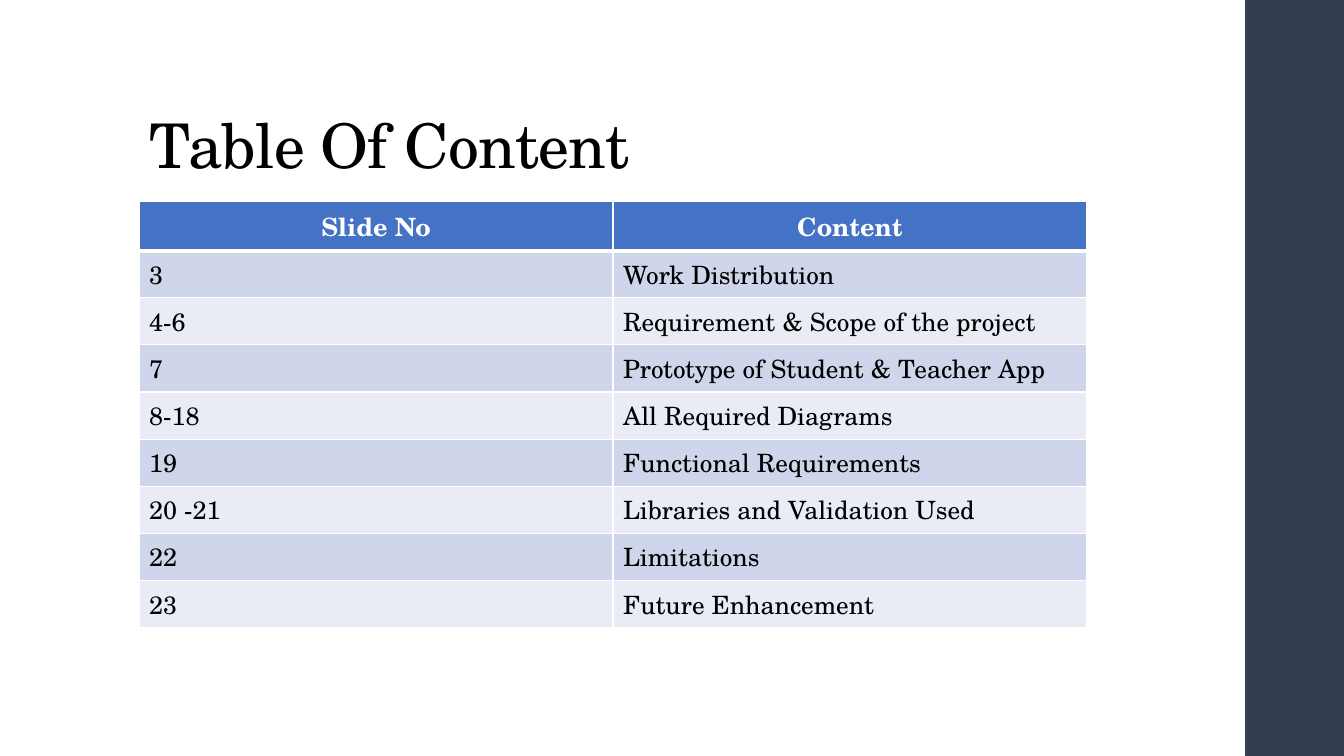
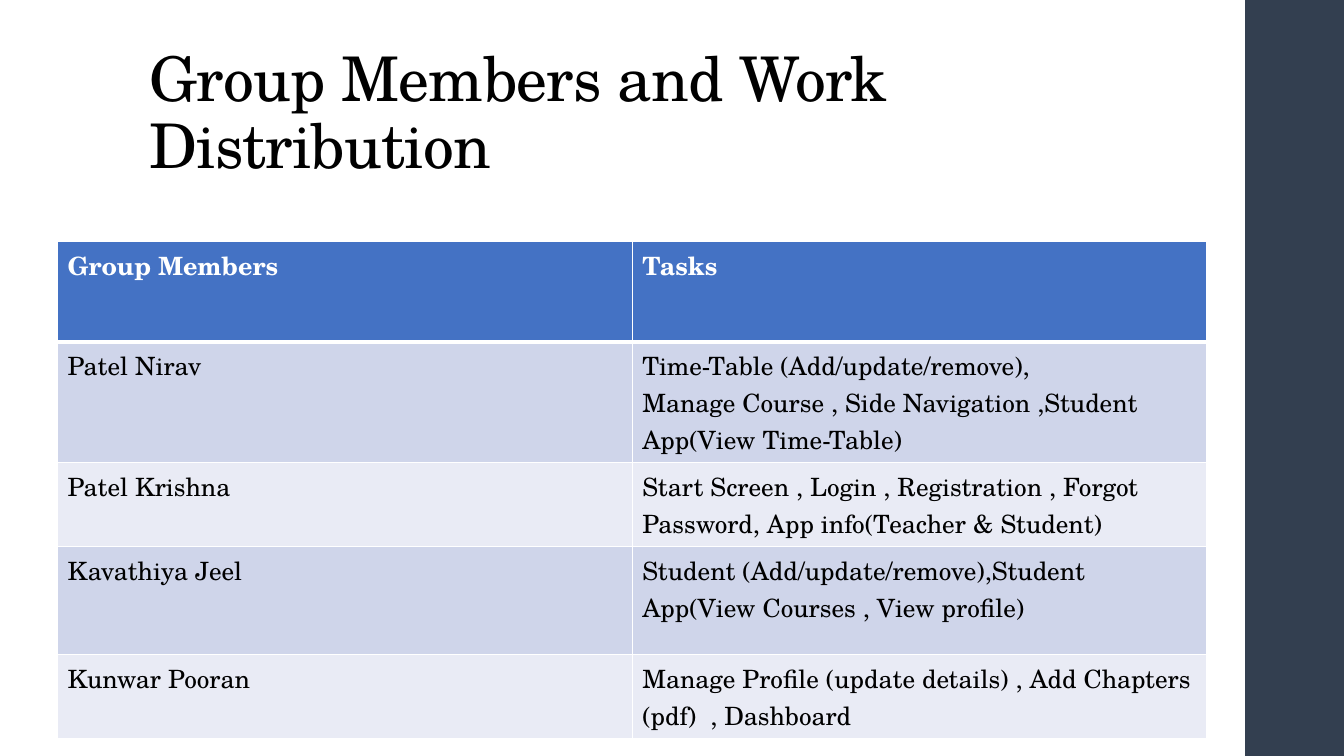
from lxml import etree
from pptx import Presentation
from pptx.dml.color import RGBColor
from pptx.enum.shapes import MSO_SHAPE
from pptx.enum.text import MSO_ANCHOR, MSO_AUTO_SIZE, PP_ALIGN
from pptx.oxml.ns import qn
from pptx.util import Inches, Pt

RECTANGLE = MSO_SHAPE.RECTANGLE
BOTTOM, NO_FIT = MSO_ANCHOR.BOTTOM, MSO_AUTO_SIZE.NONE
LEFT, CENTER = PP_ALIGN.LEFT, PP_ALIGN.CENTER

FONT = "TeX Gyre Schola"
COLORS = {
    "text": "000000",
    "white": "FFFFFF",
    "side_band": "333F50",
    "header": "4472C4",
    "odd_row": "CFD5EA",
    "even_row": "E9EBF5",
}
TITLE_ONLY = 5


def color(name):
    return RGBColor.from_string(COLORS[name])


def write(frame, text, size=18, fill="text", bold=False, align=LEFT,
          line_spacing=None, letter_spacing=None):
    """Fill a text frame, one paragraph for each line of text."""
    for index, line in enumerate(text.split("\n")):
        para = frame.paragraphs[0] if index == 0 else frame.add_paragraph()
        para.alignment = align
        if line_spacing:
            para.line_spacing = line_spacing
        span = para.add_run()
        span.text = line
        span.font.name = FONT
        span.font.size = Pt(size)
        span.font.bold = bold
        span.font.color.rgb = color(fill)
        if letter_spacing:
            span.font._element.set("spc", str(round(letter_spacing * 100)))


def add_border(cell, side, width):
    """Draw one white cell border; side is L, R, T or B."""
    properties = cell._tc.get_or_add_tcPr()
    line = etree.SubElement(properties, qn(f"a:ln{side}"), w=str(Pt(width)))
    solid = etree.SubElement(line, qn("a:solidFill"))
    etree.SubElement(solid, qn("a:srgbClr"), val=COLORS["white"])


class TableDeck:
    def __init__(self):
        self.deck = Presentation()
        self.deck.slide_width = Inches(13.33)
        self.deck.slide_height = Inches(7.5)
        self.page = None

    def add_page(self, title):
        layout = self.deck.slide_layouts[TITLE_ONLY]
        self.page = self.deck.slides.add_slide(layout)
        self.add_side_band()
        self.add_title(title)

    def add_side_band(self):
        shapes = self.page.shapes
        band = shapes.add_shape(RECTANGLE, Inches(12.35), 0,
                                Inches(1), self.deck.slide_height)
        band.shadow.inherit = False
        band.fill.solid()
        band.fill.fore_color.rgb = color("side_band")
        band.line.fill.background()
        # Keep the band behind the title
        shapes.element.insert(2, band.element)

    def add_title(self, text):
        box = self.page.shapes.title
        box.left, box.top = Inches(1.38), Inches(0.4)
        box.width, box.height = Inches(10.6), Inches(1.45)
        frame = box.text_frame
        frame.word_wrap = True
        frame.auto_size = NO_FIT
        frame.vertical_anchor = BOTTOM
        write(frame, text, size=44, line_spacing=0.9, letter_spacing=-0.5)

    def add_table(self, rows, left, top, column_width, row_heights,
                  header_align=LEFT):
        columns = len(rows[0])
        table = self.page.shapes.add_table(
            len(rows), columns, Inches(left), Inches(top),
            Inches(column_width * columns), Inches(sum(row_heights))).table
        table.horz_banding = False
        for column in table.columns:
            column.width = Inches(column_width)
        for row_index, texts in enumerate(rows):
            table.rows[row_index].height = Inches(row_heights[row_index])
            for column_index, text in enumerate(texts):
                cell = table.cell(row_index, column_index)
                self.format_cell(cell, text, row_index, header_align)

    def format_cell(self, cell, text, row_index, header_align):
        is_header = row_index == 0
        # A thick rule parts the header from the body
        widths = {"L": 1, "R": 1, "T": 3 if row_index == 1 else 1,
                  "B": 3 if is_header else 1}
        for side, width in widths.items():
            add_border(cell, side, width)
        if is_header:
            fill = "header"
            write(cell.text_frame, text, fill="white", bold=True,
                  align=header_align)
        else:
            fill = "odd_row" if row_index % 2 else "even_row"
            write(cell.text_frame, text)
        cell.fill.solid()
        cell.fill.fore_color.rgb = color(fill)


CONTENTS = [
    ("Slide No", "Content"),
    ("3", "Work Distribution"),
    ("4-6", "Requirement & Scope of the project"),
    ("7", "Prototype of Student & Teacher App"),
    ("8-18", "All Required Diagrams"),
    ("19", "Functional Requirements"),
    ("20 -21", "Libraries and Validation Used"),
    ("22", "Limitations"),
    ("23", "Future Enhancement"),
]

WORK = [
    ("Group Members", "Tasks"),
    ("Patel Nirav",
     "Time-Table (Add/update/remove),\n"
     "Manage Course , Side Navigation ,Student App(View Time-Table)"),
    ("Patel Krishna",
     "Start Screen , Login , Registration , Forgot Password, "
     "App info(Teacher & Student)"),
    ("Kavathiya Jeel",
     "Student (Add/update/remove),Student "
     "App(View Courses , View profile)"),
    ("Kunwar Pooran",
     "Manage Profile (update details) , Add Chapters (pdf)  , Dashboard"),
]


def main():
    builder = TableDeck()

    # Table of contents
    builder.add_page("Table Of Content")
    builder.add_table(CONTENTS, left=1.38, top=2, column_width=4.7,
                      row_heights=[0.41] * len(CONTENTS),
                      header_align=CENTER)

    # Work distribution
    builder.add_page("Group Members and Work Distribution")
    builder.add_table(WORK, left=0.57, top=2.39, column_width=5.7,
                      row_heights=[1, 0.95, 0.75, 1.07, 0.75])

    builder.deck.save("out.pptx")


if __name__ == "__main__":
    main()
